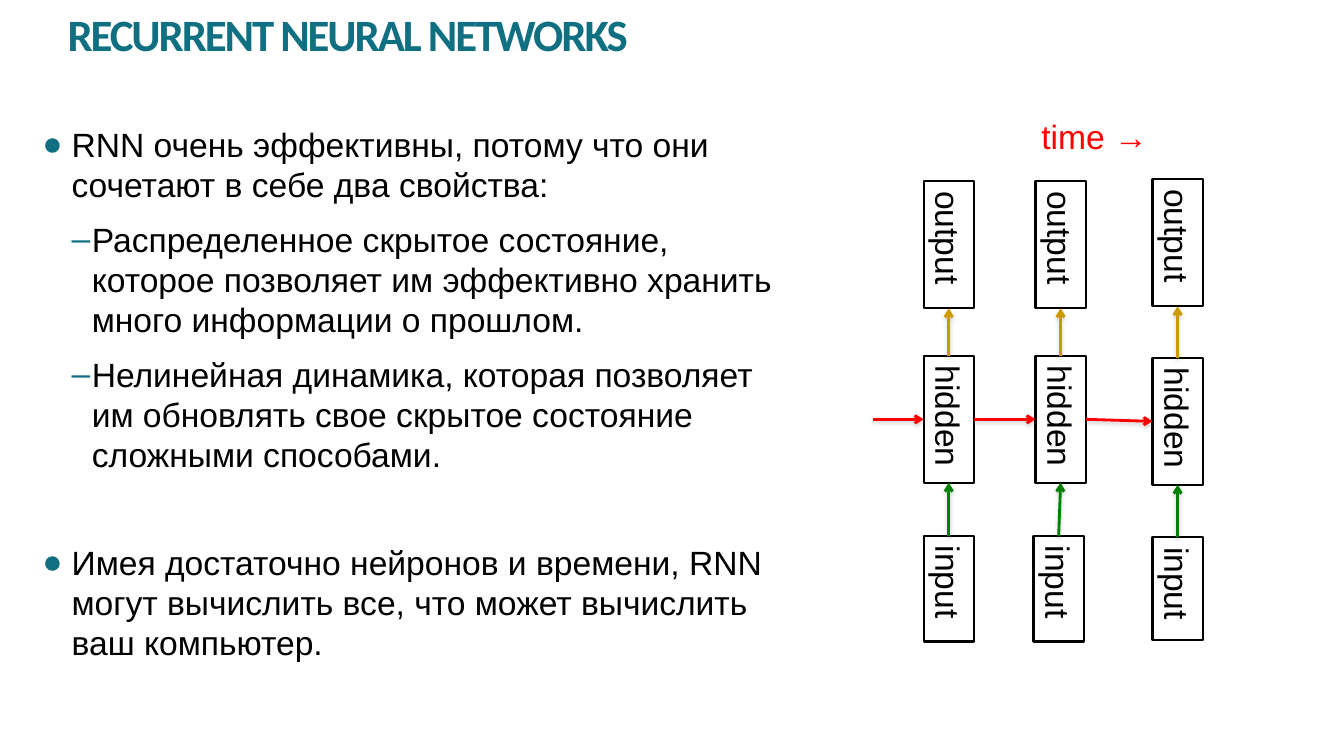
from dataclasses import dataclass

from lxml import etree
from pptx import Presentation
from pptx import util as u
from pptx.dml.color import RGBColor
from pptx.enum import shapes, text
from pptx.oxml import parse_xml
from pptx.oxml.ns import nsdecls, qn


@dataclass(frozen=True)
class Theme:
    teal: str = "107082"
    black: str = "000000"
    red: str = "FF0000"
    gold: str = "CC9900"
    green: str = "008000"
    shadow: str = "808080"
    heading_font: str = "Calibri"
    body_font: str = "Arial"
    heading_size: int = 32
    body_size: int = 24


@dataclass(frozen=True)
class Bullet:
    words: str
    symbol: str
    margin: float
    hanging: float
    space_after: int = 10


@dataclass(frozen=True)
class Node:
    label: str
    x: float
    y: float
    length: float


@dataclass(frozen=True)
class Step:
    output: Node
    hidden: Node
    input: Node


THEME = Theme()
NODE_WIDTH = 0.5

BULLETS = [
    Bullet("RNN очень эффективны, потому что они сочетают в себе два свойства:", "●", 0.29, 0.29),
    Bullet("Распределенное скрытое состояние, которое позволяет им эффективно "
           "хранить много информации о прошлом.", "–", 0.49, 0.2),
    Bullet("Нелинейная динамика, которая позволяет им обновлять свое скрытое "
           "состояние сложными способами.", "–", 0.49, 0.2, 48),
    Bullet("Имея достаточно нейронов и времени, RNN могут вычислить все, что может "
           "вычислить ваш компьютер.", "●", 0.29, 0.29),
]

STEPS = [
    Step(Node("output", 9.41, 2.43, 1.26), Node("hidden", 9.41, 4.16, 1.26),
         Node("input", 9.41, 5.84, 1.05)),
    Step(Node("output", 10.52, 2.43, 1.26), Node("hidden", 10.52, 4.16, 1.26),
         Node("input", 10.5, 5.84, 1.05)),
    Step(Node("output", 11.68, 2.41, 1.26), Node("hidden", 11.68, 4.18, 1.26),
         Node("input", 11.68, 5.84, 1.02)),
]


def style(para, colour: str, font: str = THEME.body_font,
          size: int = THEME.body_size, bold: bool = False) -> None:
    for span in para.runs:
        span.font.name = font
        span.font.size = u.Pt(size)
        span.font.bold = bold
        span.font.color.rgb = RGBColor.from_string(colour)


def add_text(page, left: float, top: float, width: float, height: float, inset: bool):
    box = page.shapes.add_textbox(*map(u.Inches, (left, top, width, height)))
    frame = box.text_frame
    frame.word_wrap = True
    if not inset:
        frame.margin_left = frame.margin_right = 0
        frame.margin_top = frame.margin_bottom = 0
    return frame


def add_title(page) -> None:
    frame = add_text(page, 0.67, 0.13, 12, 1.25, False)
    frame.text = "RECURRENT NEURAL NETWORKS"
    para = frame.paragraphs[0]
    para.line_spacing = 0.9
    style(para, THEME.teal, THEME.heading_font, THEME.heading_size, True)
    para.runs[0].font._element.set("spc", "-150")


def add_bullets(page, bullets: list[Bullet]) -> None:
    frame = add_text(page, 0.42, 1.23, 7.31, 5.46, False)
    frame.text = "\n".join(bullet.words for bullet in bullets)
    for para, bullet in zip(frame.paragraphs, bullets):
        properties = para._p.get_or_add_pPr()
        properties.set("marL", str(u.Inches(bullet.margin)))
        properties.set("indent", str(-u.Inches(bullet.hanging)))
        colour = etree.SubElement(properties, qn("a:buClr"))
        etree.SubElement(colour, qn("a:srgbClr"), val=THEME.teal)
        etree.SubElement(properties, qn("a:buFont"), typeface=THEME.body_font)
        etree.SubElement(properties, qn("a:buChar"), char=bullet.symbol)
        para.space_after = u.Pt(bullet.space_after)
        style(para, THEME.black)


def add_node(page, node: Node) -> None:
    box = page.shapes.add_shape(
        shapes.MSO_SHAPE.RECTANGLE,
        u.Inches(node.x - node.length / 2), u.Inches(node.y - NODE_WIDTH / 2),
        u.Inches(node.length), u.Inches(NODE_WIDTH))
    box.rotation = 90
    box.shadow.inherit = False
    box.fill.background()
    box.line.color.rgb = RGBColor.from_string(THEME.black)
    box.line.width = u.Pt(1.5)
    frame = box.text_frame
    frame.text = node.label
    frame.vertical_anchor = text.MSO_ANCHOR.TOP
    frame.paragraphs[0].alignment = text.PP_ALIGN.LEFT
    style(frame.paragraphs[0], THEME.black)


def add_arrow(page, start: tuple[float, float], end: tuple[float, float], colour: str) -> None:
    arrow = page.shapes.add_connector(
        shapes.MSO_CONNECTOR.STRAIGHT, *map(u.Inches, (*start, *end)))
    arrow.line.color.rgb = RGBColor.from_string(colour)
    arrow.line.width = u.Pt(2)
    etree.SubElement(arrow.line._get_or_add_ln(), qn("a:tailEnd"), type="arrow")
    arrow._element.spPr.append(parse_xml(
        f'<a:effectLst {nsdecls("a")}>'
        f'<a:outerShdw blurRad="{u.Pt(3.1)}" dist="{u.Pt(1.6)}" dir="5400000" rotWithShape="0">'
        f'<a:srgbClr val="{THEME.shadow}"><a:alpha val="38000"/></a:srgbClr>'
        '</a:outerShdw></a:effectLst>'))


def add_rise(page, lower: Node, upper: Node, colour: str) -> None:
    add_arrow(page, (lower.x, lower.y - lower.length / 2),
              (upper.x, upper.y + upper.length / 2), colour)


def add_network(page, steps: list[Step]) -> None:
    for step in steps:
        for node in (step.input, step.hidden, step.output):
            add_node(page, node)
        add_rise(page, step.hidden, step.output, THEME.gold)
        add_rise(page, step.input, step.hidden, THEME.green)
    half = NODE_WIDTH / 2
    first = steps[0].hidden
    add_arrow(page, (first.x - half - 0.5, first.y), (first.x - half, first.y), THEME.red)
    for before, after in zip(steps, steps[1:]):
        add_arrow(page, (before.hidden.x + half, before.hidden.y),
                  (after.hidden.x - half, after.hidden.y), THEME.red)


def add_time_label(page) -> None:
    frame = add_text(page, 10.23, 1.1, 2.1, 0.5, True)
    frame.text = "time →"
    style(frame.paragraphs[0], THEME.red)


def main() -> None:
    deck = Presentation()
    deck.slide_width, deck.slide_height = u.Inches(13.33), u.Inches(7.5)
    page = deck.slides.add_slide(deck.slide_layouts[6])
    add_title(page)
    add_bullets(page, BULLETS)
    add_network(page, STEPS)
    add_time_label(page)
    deck.save("out.pptx")


if __name__ == "__main__":
    main()
